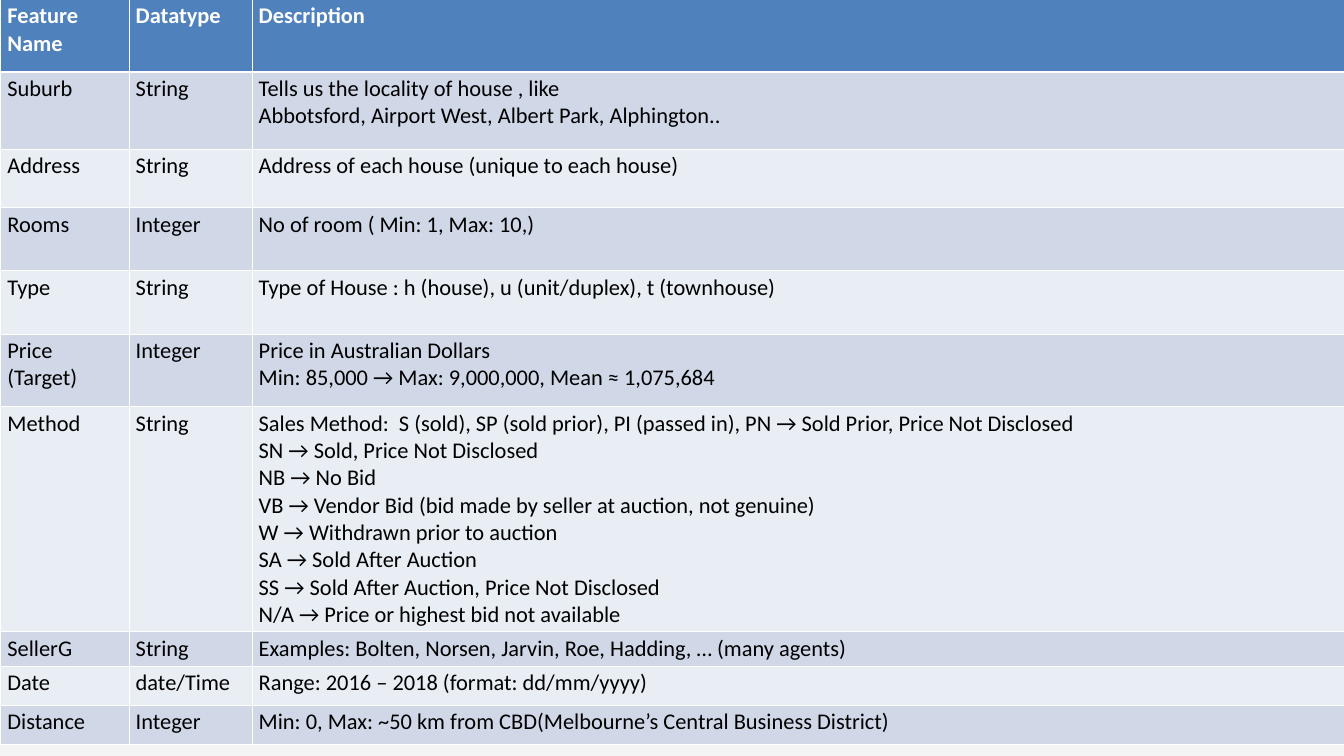
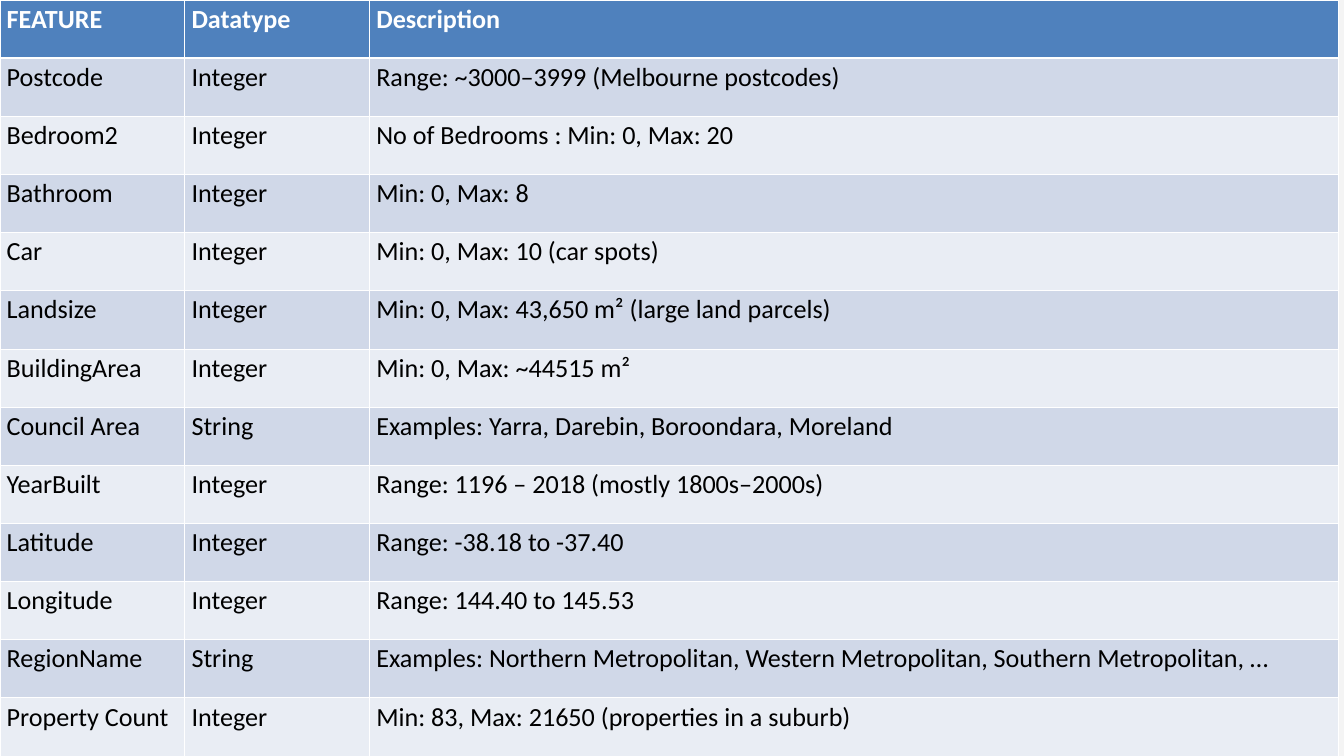
import pptx
import pptx.dml.color
import pptx.oxml
import pptx.oxml.ns
import pptx.util
from pptx.util import Inches

COLORS = {
    "background": "F4F4F4",
    "header": "4F81BD",
    "odd_row": "D0D8E8",
    "even_row": "E9EDF4",
    "border": "FFFFFF",
    "header_text": "FFFFFF",
    "body_text": "000000",
}
FONT_NAME = "Calibri"
THIN, THICK = 1, 3

SALES_METHODS = [
    "Sales Method:  S (sold), SP (sold prior), PI (passed in), "
    "PN → Sold Prior, Price Not Disclosed",
    "SN → Sold, Price Not Disclosed",
    "NB → No Bid",
    "VB → Vendor Bid (bid made by seller at auction, not genuine)",
    "W → Withdrawn prior to auction",
    "SA → Sold After Auction",
    "SS → Sold After Auction, Price Not Disclosed",
    "N/A → Price or highest bid not available",
]

SALE_FEATURES = [
    ("Feature Name", "Datatype", "Description"),
    ("Suburb", "String", "Tells us the locality of house , like\n"
                         "Abbotsford, Airport West, Albert Park, Alphington.."),
    ("Address", "String", "Address of each house (unique to each house)"),
    ("Rooms", "Integer", "No of room ( Min: 1, Max: 10,)"),
    ("Type", "String", "Type of House : h (house), u (unit/duplex), t (townhouse)"),
    ("Price (Target)", "Integer", "Price in Australian Dollars\n"
                                  "Min: 85,000 → Max: 9,000,000, Mean ≈ 1,075,684"),
    ("Method", "String", "\n".join(SALES_METHODS)),
    ("SellerG", "String", "Examples: Bolten, Norsen, Jarvin, Roe, Hadding, … (many agents)"),
    ("Date", "date/Time", "Range: 2016 – 2018 (format: dd/mm/yyyy)"),
    ("Distance", "Integer",
     "Min: 0, Max: ~50 km from CBD(Melbourne’s Central Business District)"),
]

PROPERTY_FEATURES = [
    ("FEATURE", "Datatype", "Description"),
    ("Postcode", "Integer", "Range: ~3000–3999 (Melbourne postcodes)"),
    ("Bedroom2", "Integer", "No of Bedrooms : Min: 0, Max: 20"),
    ("Bathroom", "Integer", "Min: 0, Max: 8"),
    ("Car", "Integer", "Min: 0, Max: 10 (car spots)"),
    ("Landsize", "Integer", "Min: 0, Max: 43,650 m² (large land parcels)"),
    ("BuildingArea", "Integer", "Min: 0, Max: ~44515 m²"),
    ("Council Area", "String", "Examples: Yarra, Darebin, Boroondara, Moreland"),
    ("YearBuilt", "Integer", "Range: 1196 – 2018 (mostly 1800s–2000s)"),
    ("Latitude", "Integer", "Range: -38.18 to -37.40"),
    ("Longitude", "Integer", "Range: 144.40 to 145.53"),
    ("RegionName", "String",
     "Examples: Northern Metropolitan, Western Metropolitan, Southern Metropolitan, …"),
    ("Property Count", "Integer", "Min: 83, Max: 21650 (properties in a suburb)"),
]

SLIDE_WIDTH, SLIDE_HEIGHT = 20, 11.25

FEATURE_SLIDES = [
    {
        "features": SALE_FEATURES,
        "corner": (0.01, -0.01),
        "columns": [1.91, 1.83, 16.25],
        "rows": [1.08, 1.15, 0.87, 0.94, 0.94, 1.08, 3.35, 0.51, 0.58, 0.59],
        "text_size": 24,
    },
    {
        "features": PROPERTY_FEATURES,
        "corner": (0, 0),
        "columns": [2.75, 2.75, 14.42],
        "rows": [SLIDE_HEIGHT / len(PROPERTY_FEATURES)] * len(PROPERTY_FEATURES),
        "text_size": 28,
    },
]


def rgb(name):
    return pptx.dml.color.RGBColor.from_string(COLORS[name])


def set_borders(cell, top, bottom):
    """Draw the four cell edges; top and bottom are widths in points."""
    widths = {"lnL": THIN, "lnR": THIN, "lnT": top, "lnB": bottom}
    properties = cell._tc.get_or_add_tcPr()
    for position, (edge, width) in enumerate(widths.items()):
        properties.insert(position, pptx.oxml.parse_xml(
            f'<a:{edge} {pptx.oxml.ns.nsdecls("a")} w="{pptx.util.Pt(width)}">'
            f'<a:solidFill><a:srgbClr val="{COLORS["border"]}"/></a:solidFill>'
            f'<a:prstDash val="solid"/></a:{edge}>'))


def fill_cell(cell, text, row, text_size):
    is_header = row == 0
    band = "header" if is_header else "odd_row" if row % 2 else "even_row"
    cell.fill.solid()
    cell.fill.fore_color.rgb = rgb(band)
    set_borders(cell, THICK if row == 1 else THIN, THICK if is_header else THIN)

    cell.text = text
    font_format = {"name": FONT_NAME, "size": pptx.util.Pt(text_size), "bold": is_header}
    for paragraph in cell.text_frame.paragraphs:
        for run in paragraph.runs:
            for attribute, value in font_format.items():
                setattr(run.font, attribute, value)
            run.font.color.rgb = rgb("header_text" if is_header else "body_text")


def add_feature_slide(deck, features, corner, columns, rows, text_size):
    slide = deck.slides.add_slide(deck.slide_layouts[6])
    slide.background.fill.solid()
    slide.background.fill.fore_color.rgb = rgb("background")

    left, top = corner
    feature_table = slide.shapes.add_table(
        len(rows), len(columns), Inches(left), Inches(top),
        Inches(sum(columns)), Inches(sum(rows))).table
    for column, width in zip(feature_table.columns, columns):
        column.width = Inches(width)
    for row, height in zip(feature_table.rows, rows):
        row.height = Inches(height)
    for row, feature in enumerate(features):
        for column, text in enumerate(feature):
            fill_cell(feature_table.cell(row, column), text, row, text_size)


def main():
    deck = pptx.Presentation()
    deck.slide_width = Inches(SLIDE_WIDTH)
    deck.slide_height = Inches(SLIDE_HEIGHT)
    for feature_slide in FEATURE_SLIDES:
        add_feature_slide(deck, **feature_slide)
    deck.save("out.pptx")


if __name__ == "__main__":
    main()
